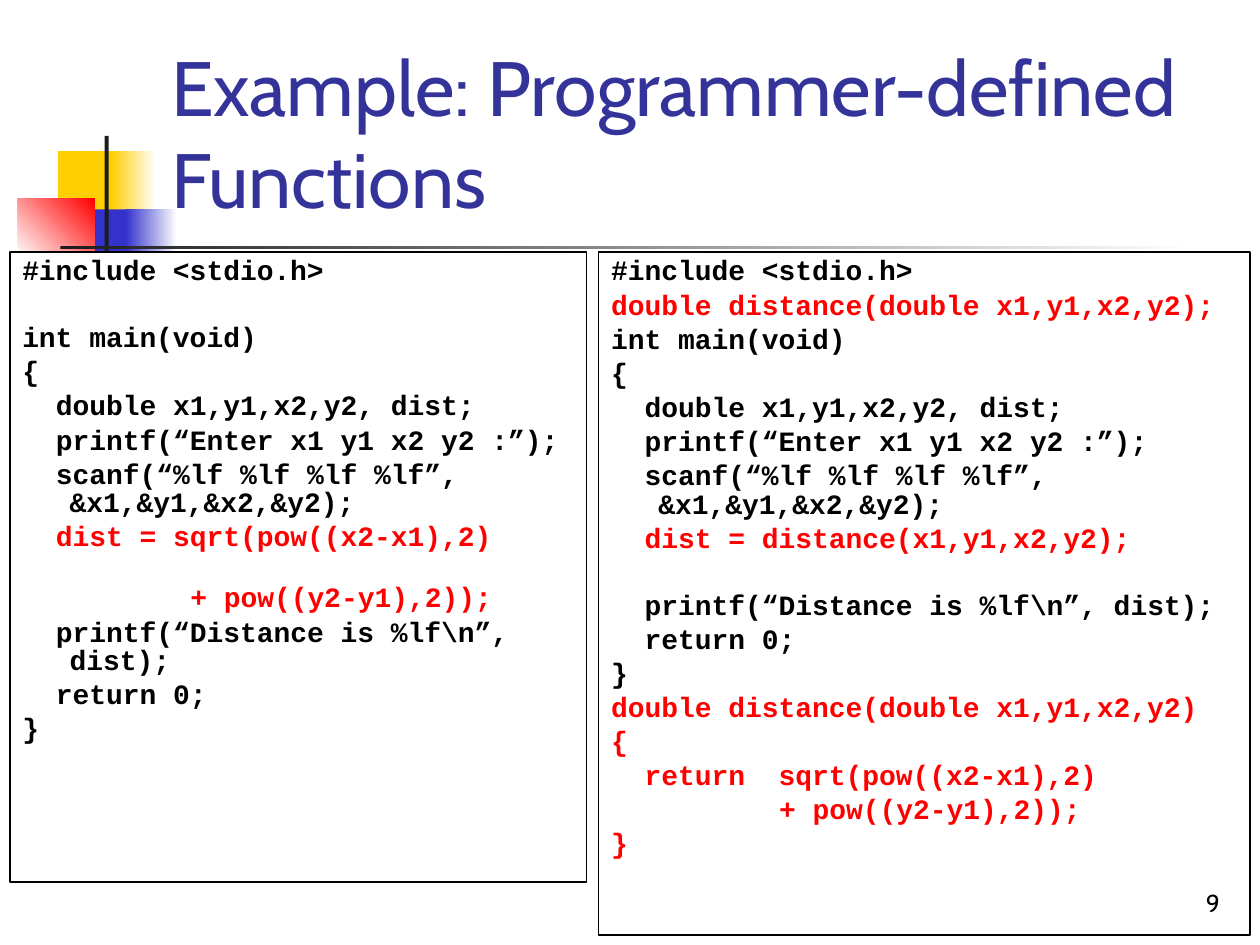
"""Build a slide that sets two C listings side by side under a decorated title."""
import pptx
import pptx.dml.color
import pptx.enum.shapes
import pptx.enum.text
import pptx.util

THEME = {
    "yellow": "FFCF01", "blue": "3333CC", "red": "FF0000", "dark": "1C1C1C",
    "white": "FFFFFF", "black": "000000", "title": "333399",
    "title_font": "Cabin", "code_font": "Courier New",
    "title_size": 44, "code_size": 16, "number_size": 14,
    "line_spacing": 0.85, "space_before": 3.2, "blank_line": 18.6,
    "hanging": 27, "character": 9.6,
}
Cm, Pt = pptx.util.Cm, pptx.util.Pt
RECTANGLE = pptx.enum.shapes.MSO_SHAPE.RECTANGLE
ALIGN = pptx.enum.text.PP_ALIGN
BOTTOM = pptx.enum.text.MSO_ANCHOR.BOTTOM


def colour(name):
    return pptx.dml.color.RGBColor.from_string(THEME[name])


def style_text(para, font, size, tint, bold=False):
    for span in para.runs:
        span.font.name = THEME[font]
        span.font.size = Pt(THEME[size])
        span.font.color.rgb = colour(tint)
        span.font.bold = bold


deck = pptx.Presentation()
deck.slide_width, deck.slide_height = Cm(25.4), Cm(19.05)
page = deck.slides.add_slide(deck.slide_layouts[6])

decorations = [
    ((1.17, 3.05, 1.22, 1.32), ["yellow"], 0),
    ((2.24, 3.05, 0.91, 1.32), ["yellow", "white"], 0),
    ((1.5, 4.22, 1.17, 1.32), ["blue"], 0),
    ((2.54, 4.22, 1.02, 1.32), ["blue", "white"], 0),
    ((0.36, 4.01, 1.55, 1.17), ["white", "red"], 45),
    ((2.11, 2.74, 0.08, 2.92), ["dark"], 0),
    ((1.22, 4.95, 22.86, 0.08), ["dark", "white"], 0),
]
for place, tints, angle in decorations:
    block = page.shapes.add_shape(RECTANGLE, *map(Cm, place))
    block.shadow.inherit = False
    block.line.fill.background()
    if len(tints) == 1:
        block.fill.solid()
        block.fill.fore_color.rgb = colour(tints[0])
    else:
        block.fill.gradient()
        block.fill.gradient_angle = angle
        for stop, tint in zip(block.fill.gradient_stops, tints):
            stop.color.rgb = colour(tint)

labels = [
    ((19.56, 17.35, 5.28, 1.27), "9", "number_size", "black", ALIGN.RIGHT),
    ((3.2, 0.58, 21.64, 4.06), "Example: Programmer-defined Functions",
     "title_size", "title", ALIGN.LEFT),
]
for place, wording, size, tint, alignment in labels:
    box = page.shapes.add_textbox(*map(Cm, place))
    box.text_frame.word_wrap = True
    box.text_frame.vertical_anchor = BOTTOM
    para = box.text_frame.paragraphs[0]
    para.text = wording
    para.alignment = alignment
    style_text(para, "title_font", size, tint)

opening = [
    (0, "int main(void)", "black", 0),
    (0, "{", "black", 0),
    (2, "double x1,y1,x2,y2, dist;", "black", 0),
    (2, "printf(“Enter x1 y1 x2 y2 :”);", "black", 0),
    (2, "scanf(“%lf %lf %lf %lf”, &x1,&y1,&x2,&y2);", "black", 0),
]
closing = [(2, "return 0;", "black", 0), (0, "}", "black", 0)]
include = (0, "#include <stdio.h>", "black", 0)
report = "printf(“Distance is %lf\\n”, dist);"
second_term = "+ pow((y2-y1),2));"

inline_code = [
    include,
    (0, "int main(void)", "black", 1),
    *opening[1:],
    (2, "dist = sqrt(pow((x2-x1),2)", "red", 0),
    (10, second_term, "red", 0.83),
    (2, report, "black", 0),
    *closing,
]
function_code = [
    include,
    (0, "double distance(double x1,y1,x2,y2);", "red", 0),
    *opening,
    (2, "dist = distance(x1,y1,x2,y2);", "red", 0),
    (2, report, "black", 1),
    *closing,
    (0, "double distance(double x1,y1,x2,y2)", "red", 0),
    (0, "{", "red", 0),
    (2, "return  sqrt(pow((x2-x1),2)", "red", 0),
    (10, second_term, "red", 0),
    (0, "}", "red", 0),
]
panels = [
    ((0.2, 5.08, 11.63, 12.7), inline_code, True),
    ((12.07, 5.08, 13.13, 13.77), function_code, False),
]
for place, code, filled in panels:
    panel = page.shapes.add_shape(RECTANGLE, *map(Cm, place))
    panel.shadow.inherit = False
    panel.line.color.rgb = colour("black")
    panel.line.width = Pt(0.75)
    if filled:
        panel.fill.solid()
        panel.fill.fore_color.rgb = colour("white")
    else:
        panel.fill.background()
    frame = panel.text_frame
    frame.word_wrap = True
    frame.vertical_anchor = pptx.enum.text.MSO_ANCHOR.TOP
    for index, (depth, wording, tint, blank_lines) in enumerate(code):
        para = frame.add_paragraph() if index else frame.paragraphs[0]
        para.text = wording
        para.alignment = ALIGN.LEFT
        para.line_spacing = THEME["line_spacing"]
        para.space_before = Pt(THEME["space_before"] + blank_lines * THEME["blank_line"])
        first_indent = depth * THEME["character"]
        margin = max(THEME["hanging"], first_indent)
        properties = para._p.get_or_add_pPr()
        properties.set("marL", str(int(Pt(margin))))
        properties.set("indent", str(int(Pt(first_indent - margin))))
        style_text(para, "code_font", "code_size", tint, bold=True)

deck.save("out.pptx")
